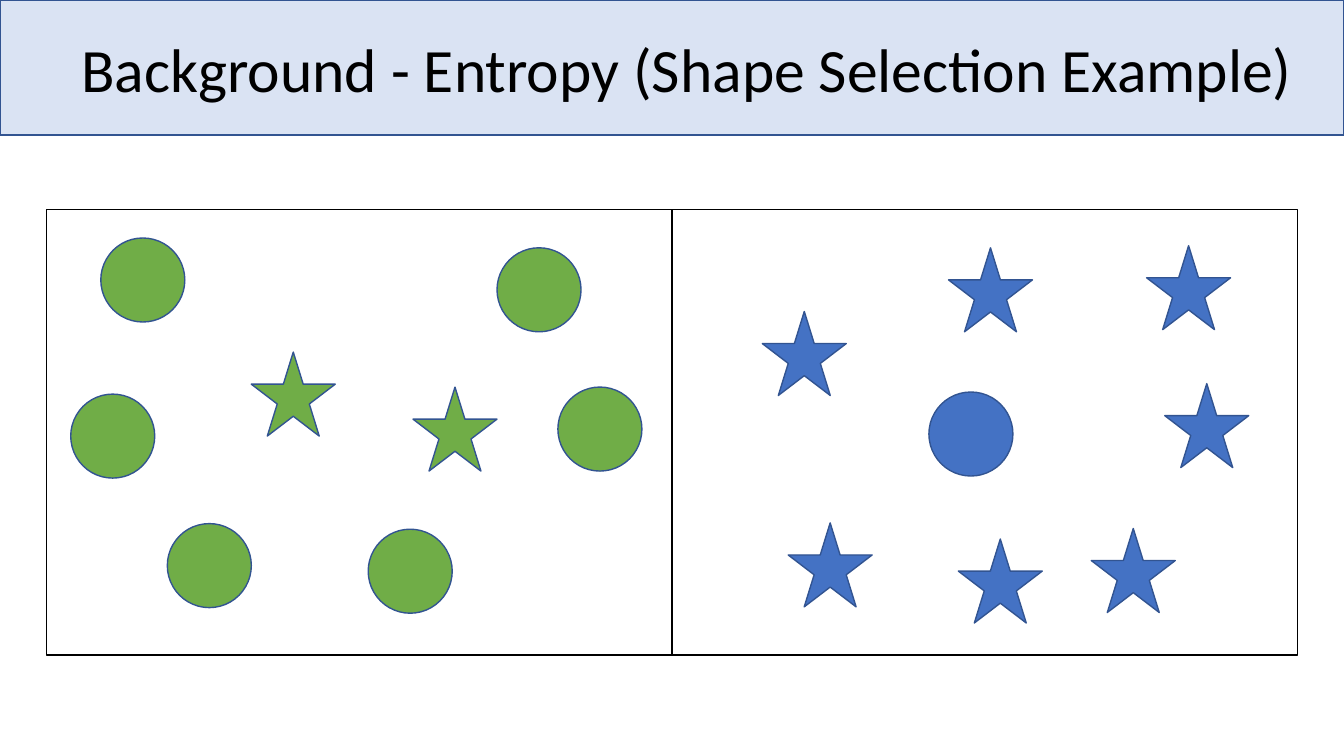
from dataclasses import dataclass

from pptx import Presentation
from pptx.dml.color import RGBColor
from pptx.enum.shapes import MSO_SHAPE
from pptx.enum.text import MSO_ANCHOR, MSO_AUTO_SIZE, PP_ALIGN
from pptx.util import Pt


@dataclass(frozen=True)
class Theme:
    font: str = "Calibri"
    title_size: float = 44
    line_width: float = 1
    text: str = "000000"
    banner: str = "DAE3F3"
    panel: str = "FFFFFF"
    panel_border: str = "000000"
    outline: str = "325491"
    green: str = "70AD47"
    blue: str = "4472C4"


class SlideBuilder:
    def __init__(self, page, theme):
        self.page = page
        self.theme = theme

    def shape(self, shapes, kind, left, top, width, height, fill, border):
        item = shapes.add_shape(kind, Pt(left), Pt(top), Pt(width), Pt(height))
        item.shadow.inherit = False
        item.fill.solid()
        item.fill.fore_color.rgb = RGBColor.from_string(fill)
        item.line.color.rgb = RGBColor.from_string(border)
        item.line.width = Pt(self.theme.line_width)
        return item

    def banner(self, width, height):
        self.shape(self.page.shapes, MSO_SHAPE.RECTANGLE, 0, 0, width, height,
                   self.theme.banner, self.theme.outline)

    def panel(self, left, color, stars, circles):
        shapes = self.page.shapes.add_group_shape().shapes
        self.shape(shapes, MSO_SHAPE.RECTANGLE, left, PANEL_TOP, PANEL_WIDTH, PANEL_HEIGHT,
                   self.theme.panel, self.theme.panel_border)
        for kind, places in ((MSO_SHAPE.STAR_5_POINT, stars), (MSO_SHAPE.OVAL, circles)):
            for x, y in places:
                self.shape(shapes, kind, x, y, TOKEN_SIZE, TOKEN_SIZE,
                           color, self.theme.outline)

    def title(self, text, left, top, width, height):
        box = self.page.shapes.title
        box.left, box.top, box.width, box.height = Pt(left), Pt(top), Pt(width), Pt(height)
        frame = box.text_frame
        frame.word_wrap = True
        frame.auto_size = MSO_AUTO_SIZE.NONE
        frame.vertical_anchor = MSO_ANCHOR.MIDDLE
        para = frame.paragraphs[0]
        para.alignment = PP_ALIGN.LEFT
        para.line_spacing = 0.9
        span = para.add_run()
        span.text = text
        span.font.name = self.theme.font
        span.font.size = Pt(self.theme.title_size)
        span.font.color.rgb = RGBColor.from_string(self.theme.text)
        self.page.shapes._spTree.append(box._element)


PAGE_WIDTH, PAGE_HEIGHT = 960, 540
PANEL_TOP, PANEL_WIDTH, PANEL_HEIGHT = 149.8, 446.8, 318
TOKEN_SIZE = 60
MIDDLE = PAGE_WIDTH / 2

BLUE_STARS = [(563, 373.5), (832, 274), (819, 175.5), (684.5, 385),
              (544.5, 222.5), (677.5, 177), (779.5, 377.5)]
BLUE_CIRCLES = [(663.5, 280)]
GREEN_STARS = [(179.5, 251.5), (295, 276.5)]
GREEN_CIRCLES = [(355, 177), (50.5, 281.5), (263, 378),
                 (119.5, 374), (72, 170), (398.5, 276.5)]


def main():
    deck = Presentation()
    deck.slide_width, deck.slide_height = Pt(PAGE_WIDTH), Pt(PAGE_HEIGHT)
    theme = Theme()
    builder = SlideBuilder(deck.slides.add_slide(deck.slide_layouts[5]), theme)
    builder.banner(PAGE_WIDTH, 96.5)
    builder.panel(MIDDLE, theme.blue, BLUE_STARS, BLUE_CIRCLES)
    builder.panel(MIDDLE - PANEL_WIDTH, theme.green, GREEN_STARS, GREEN_CIRCLES)
    builder.title("Background - Entropy (Shape Selection Example)", 51, -0.5, 883.5, 104.5)
    deck.save("out.pptx")


if __name__ == "__main__":
    main()
